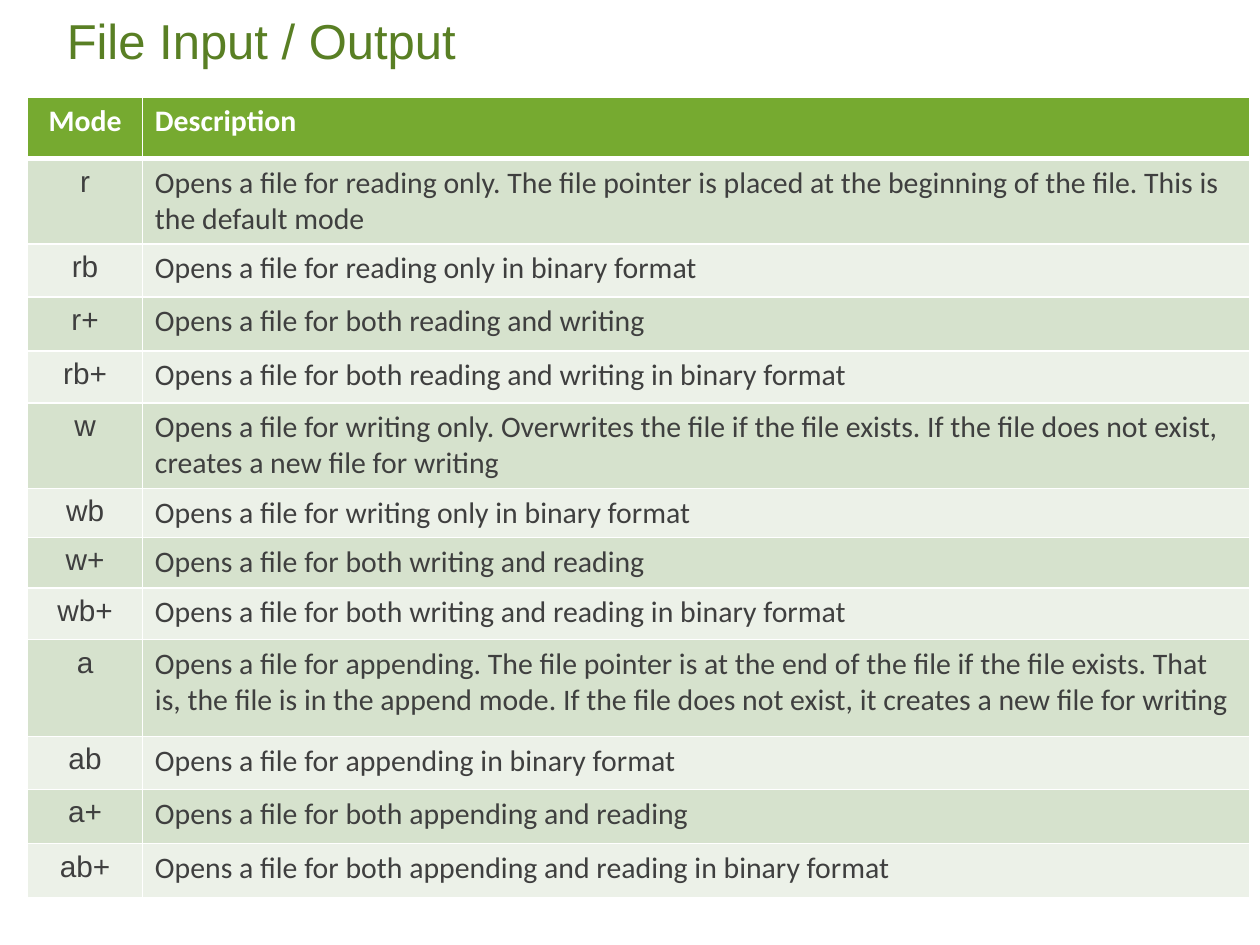
from dataclasses import dataclass

from lxml import etree
from pptx import Presentation
from pptx.dml.color import RGBColor
from pptx.enum.text import MSO_ANCHOR, MSO_AUTO_SIZE, PP_ALIGN
from pptx.oxml.ns import qn
from pptx.util import Inches, Pt

BOTTOM = MSO_ANCHOR.BOTTOM
NO_AUTOFIT = MSO_AUTO_SIZE.NONE
LEFT, CENTER = PP_ALIGN.LEFT, PP_ALIGN.CENTER
TITLE_ONLY = 5


@dataclass(frozen=True)
class Theme:
    """Colours, fonts and type sizes of the slide."""

    title: str = "597F24"
    header: str = "76AA30"
    bands: tuple = ("D6E2CD", "ECF1E8")
    text: str = "3F3F3F"
    white: str = "FFFFFF"
    sans: str = "Arial"
    body: str = "Calibri"
    title_size: int = 28
    table_size: int = 17
    border: int = 1
    header_border: int = 3


THEME = Theme()
COLUMN_WIDTHS = (0.91, 8.79)
HEADER = ("Mode", "Description", 0.49)
MODES = (
    ("r", "Opens a file for reading only. The file pointer is placed at the beginning "
          "of the file. This is the default mode", 0.67),
    ("rb", "Opens a file for reading only in binary format", 0.42),
    ("r+", "Opens a file for both reading and writing", 0.43),
    ("rb+", "Opens a file for both reading and writing in binary format", 0.41),
    ("w", "Opens a file for writing only. Overwrites the file if the file exists. "
          "If the file does not exist, creates a new file for writing", 0.68),
    ("wb", "Opens a file for writing only in binary format", 0.39),
    ("w+", "Opens a file for both writing and reading", 0.4),
    ("wb+", "Opens a file for both writing and reading in binary format", 0.41),
    ("a", "Opens a file for appending. The file pointer is at the end of the file if "
          "the file exists. That is, the file is in the append mode. If the file does "
          "not exist, it creates a new file for writing", 0.77),
    ("ab", "Opens a file for appending in binary format", 0.42),
    ("a+", "Opens a file for both appending and reading", 0.43),
    ("ab+", "Opens a file for both appending and reading in binary format", 0.43),
)


def format_text(paragraph, font_name, size, color, alignment, bold=False):
    """Format a paragraph and its runs."""
    paragraph.alignment = alignment
    for run in paragraph.runs:
        run.font.name = font_name
        run.font.size = Pt(size)
        run.font.bold = bold
        run.font.color.rgb = RGBColor.from_string(color)


def add_title(slide, text):
    """Place and format the title placeholder."""
    title = slide.shapes.title
    title.left, title.top = Inches(0.43), Inches(0.11)
    title.width, title.height = Inches(9), Inches(0.5)
    frame = title.text_frame
    frame.text = text
    frame.auto_size = NO_AUTOFIT
    frame.vertical_anchor = BOTTOM
    frame.margin_top = Inches(0.04)
    paragraph = frame.paragraphs[0]
    paragraph.line_spacing = 0.9
    format_text(paragraph, THEME.sans, THEME.title_size, THEME.title, LEFT)


def set_borders(cell, widths):
    """Draw solid white borders, given as widths by side."""
    properties = cell._tc.get_or_add_tcPr()
    for index, (side, width) in enumerate(widths.items()):
        line = etree.Element(qn(f"a:ln{side}"), w=str(Pt(width)))
        fill = etree.SubElement(line, qn("a:solidFill"))
        etree.SubElement(fill, qn("a:srgbClr"), val=THEME.white)
        properties.insert(index, line)


def fill_cell(cell, text, fill, font_name, color, alignment, bold):
    """Write one table cell and set its fill."""
    cell.text_frame.text = text
    cell.fill.solid()
    cell.fill.fore_color.rgb = RGBColor.from_string(fill)
    format_text(cell.text_frame.paragraphs[0], font_name, THEME.table_size,
                color, alignment, bold)


def add_mode_table(slide):
    """Add the table of file modes with a header and banded rows."""
    rows = (HEADER, *MODES)
    height = sum(row[-1] for row in rows)
    table = slide.shapes.add_table(
        len(rows), len(COLUMN_WIDTHS), Inches(0.22), Inches(0.77),
        Inches(sum(COLUMN_WIDTHS)), Inches(height)).table
    for column, width in zip(table.columns, COLUMN_WIDTHS):
        column.width = Inches(width)
    for row_index, (mode, description, row_height) in enumerate(rows):
        table.rows[row_index].height = Inches(row_height)
        is_header = row_index == 0
        fill = THEME.header if is_header else THEME.bands[(row_index - 1) % 2]
        color = THEME.white if is_header else THEME.text
        mode_font = THEME.body if is_header else THEME.sans
        widths = dict.fromkeys("LRTB", THEME.border)
        if row_index < 2:
            widths["B" if is_header else "T"] = THEME.header_border
        columns = ((mode, mode_font, CENTER), (description, THEME.body, LEFT))
        for column_index, (text, font_name, alignment) in enumerate(columns):
            cell = table.cell(row_index, column_index)
            fill_cell(cell, text, fill, font_name, color, alignment, is_header)
            set_borders(cell, widths)


def main():
    """Build and save the slide."""
    presentation = Presentation()
    presentation.slide_width = Inches(10)
    presentation.slide_height = Inches(7.5)
    slide = presentation.slides.add_slide(presentation.slide_layouts[TITLE_ONLY])
    add_title(slide, "File Input / Output")
    add_mode_table(slide)
    presentation.save("out.pptx")


if __name__ == "__main__":
    main()
